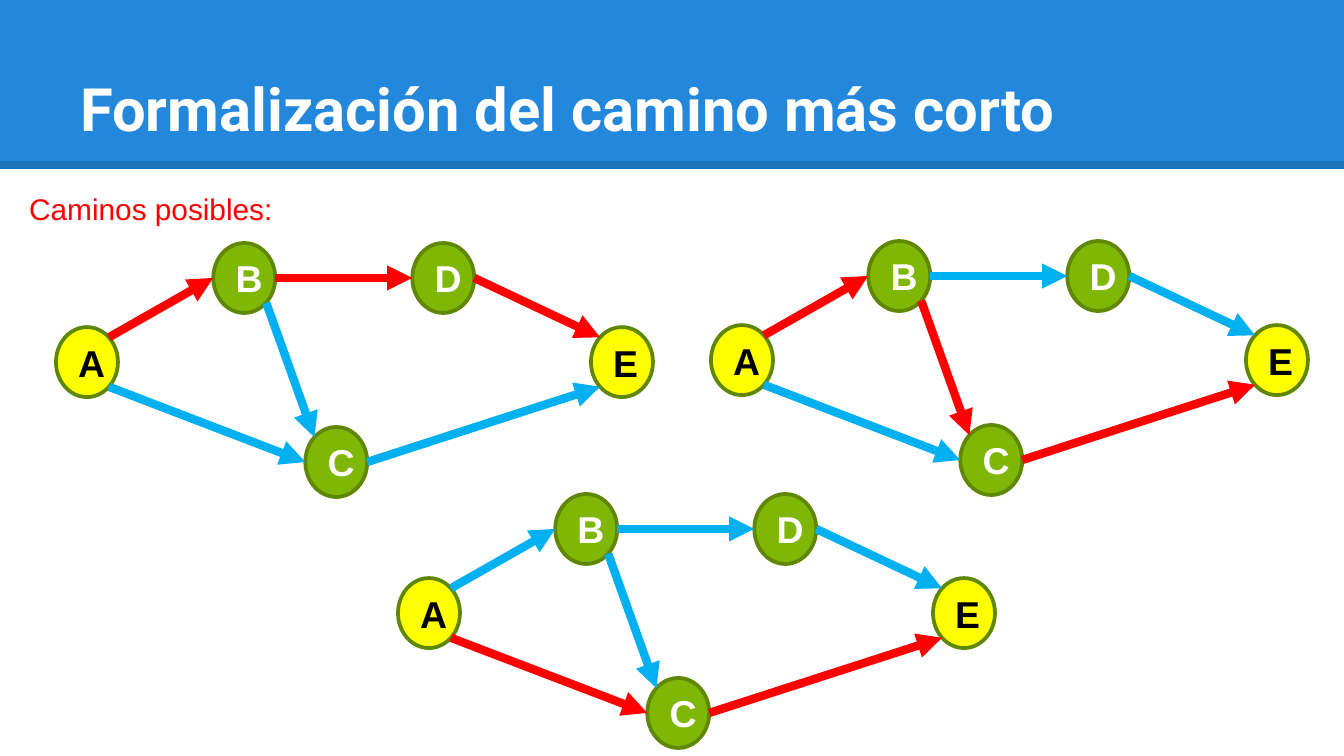
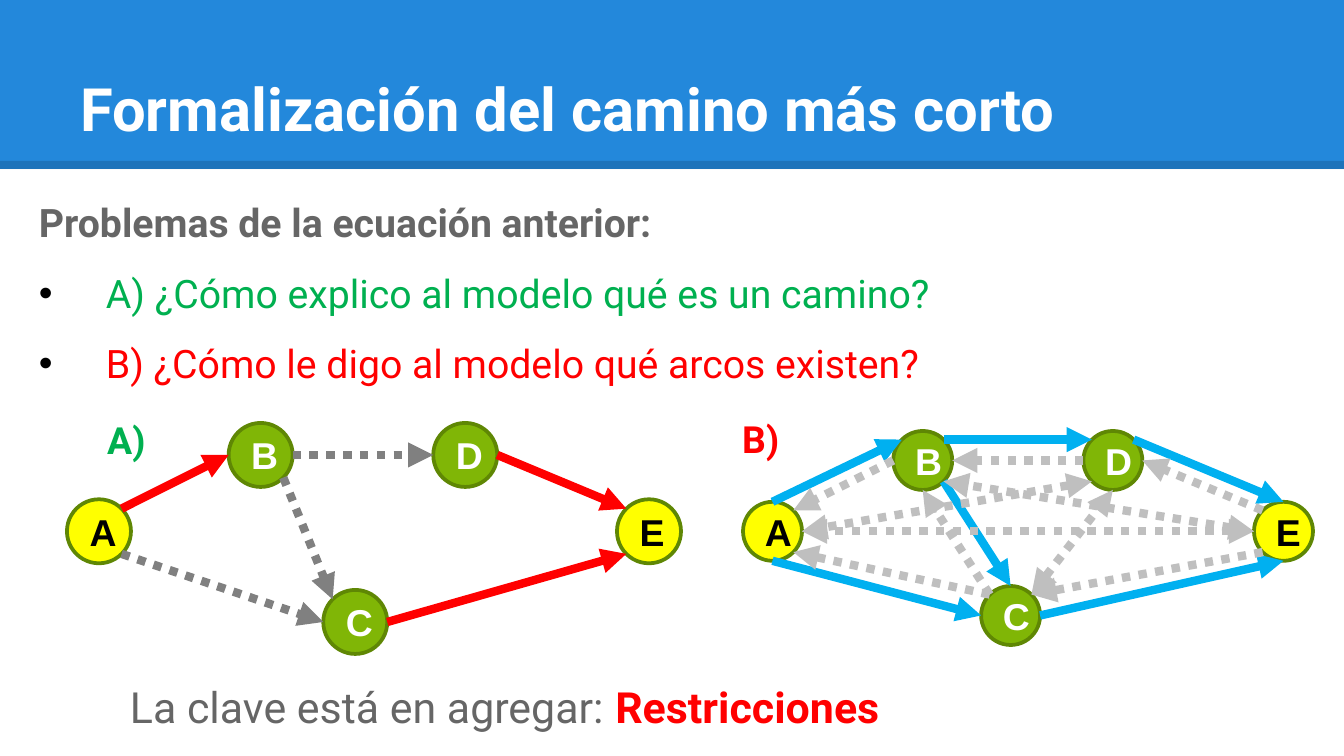
from dataclasses import dataclass
from math import cos, radians, sin

from lxml import etree
from pptx import Presentation
from pptx.dml.color import RGBColor
from pptx.enum.dml import MSO_LINE
from pptx.enum.shapes import MSO_CONNECTOR, MSO_SHAPE
from pptx.enum.text import MSO_ANCHOR, MSO_AUTO_SIZE, PP_ALIGN
from pptx.oxml.ns import qn
from pptx.util import Emu, Pt

DOTS = MSO_LINE.ROUND_DOT
STRAIGHT = MSO_CONNECTOR.STRAIGHT
RECT, OVAL = MSO_SHAPE.RECTANGLE, MSO_SHAPE.OVAL
TOP, MIDDLE, BOTTOM = MSO_ANCHOR.TOP, MSO_ANCHOR.MIDDLE, MSO_ANCHOR.BOTTOM
LEFT, CENTER = PP_ALIGN.LEFT, PP_ALIGN.CENTER
FIXED, GROW = MSO_AUTO_SIZE.NONE, MSO_AUTO_SIZE.SHAPE_TO_FIT_TEXT
SCALE = 914400 / 134.4
WIDE, HIGH = 1344, 756


@dataclass(frozen=True)
class Theme:
    """Colours, fonts and sizes of the deck."""
    band: str = "2388DB"
    white: str = "FFFFFF"
    black: str = "000000"
    gray: str = "666666"
    red: str = "FF0000"
    blue: str = "00B0F0"
    green: str = "00B050"
    end: str = "FFFF00"
    node: str = "80B606"
    rim: str = "5F8704"
    dark: str = "808080"
    pale: str = "BFBFBF"
    head: str = "Roboto"
    body: str = "Arial"
    title: int = 32
    key: int = 23
    list: int = 21
    label: int = 20
    note: int = 16
    stroke: float = 4.5
    edge: int = 2


T = Theme()

# Node places as shares of the graph box
NODES = {"A": (0, 0.457), "C": (0.466, 1), "D": (0.666, 0),
         "E": (1, 0.457), "B": (0.294, 0)}
# Rim points of a node, as angles clockwise from the right
RIM = {"e": 0, "se": 45, "s": 90, "sw": 135,
       "w": 180, "nw": 225, "n": 270, "ne": 315}
ARCS = {"AB": "A.ne B.w", "AC": "A.se C.w", "BD": "B.e D.w",
        "DE": "D.e E.nw", "CE": "C.e E.sw", "BC": "B.se C.nw"}
REAL = ("A.n B.nw", "C.e E.s", "B.se C.n", "A.s C.w", "B.ne D.nw", "D.ne E.n")
BOTH = ("D.sw A.e", "E.w A.e", "E.w B.se", "C.ne D.s")
BACK = ("B.w A.ne", "C.nw A.se", "E.sw C.ne", "E.nw D.e", "D.w B.e", "C.nw B.s")


def px(n):
    """Turn pixels into EMU."""
    return Emu(round(n * SCALE))


def rgb(code):
    """Turn a hex code into a colour."""
    return RGBColor.from_string(code)


def style(run, size, color, font, bold=False):
    """Format one run."""
    run.font.size, run.font.name, run.font.bold = Pt(size), font, bold
    run.font.color.rgb = rgb(color)


def pad(frame, anchor):
    """Give a text frame even margins, a fixed size and an anchor."""
    frame.word_wrap, frame.auto_size = True, FIXED
    frame.vertical_anchor = anchor
    frame.margin_left = frame.margin_right = px(13)
    frame.margin_top = frame.margin_bottom = px(13)


def text(shapes, box, words, size, color, font, bold=False, wrap=False):
    """Place a one-line label that grows with its text."""
    frame = shapes.add_textbox(*map(px, box)).text_frame
    frame.word_wrap, frame.auto_size = wrap, GROW
    frame.text = words
    style(frame.paragraphs[0].runs[0], size, color, font, bold)


def arrow(shapes, start, stop, color, dots=False, both=False, tip=True):
    """Draw a straight line, with arrowheads where asked."""
    line = shapes.add_connector(STRAIGHT, *map(px, (*start, *stop)))
    line.line.width = Pt(T.stroke)
    line.line.color.rgb = rgb(color)
    if dots:
        line.line.dash_style = DOTS
    props = line.element.spPr
    ln = props.find(qn("a:ln"))
    if both:
        etree.SubElement(ln, qn("a:headEnd"), type="triangle")
    if tip:
        etree.SubElement(ln, qn("a:tailEnd"), type="triangle")
    etree.SubElement(props, qn("a:effectLst"))
    return line


def node(shapes, box, name):
    """Draw a named graph node."""
    end = name in "AE"
    oval = shapes.add_shape(OVAL, *map(px, box))
    oval.shadow.inherit = False
    oval.fill.solid()
    oval.fill.fore_color.rgb = rgb(T.end if end else T.node)
    oval.line.color.rgb = rgb(T.rim)
    oval.line.width = Pt(T.edge)
    frame = oval.text_frame
    frame.vertical_anchor = MIDDLE
    frame.text = name
    para = frame.paragraphs[0]
    para.alignment = CENTER
    style(para.runs[0], T.label, T.black if end else T.white, T.body, True)


def graph(shapes, box, size):
    """Draw the five nodes in a box; return a function that joins them."""
    left, top, wide, high = box
    w, h = size
    spots = {name: (left + fx * (wide - w), top + fy * (high - h))
             for name, (fx, fy) in NODES.items()}
    for name, spot in spots.items():
        node(shapes, (*spot, w, h), name)

    def point(ref):
        """Find a rim point such as A.ne."""
        name, side = ref.split(".")
        x, y = spots[name]
        turn = radians(RIM[side])
        return x + w / 2 * (1 + cos(turn)), y + h / 2 * (1 + sin(turn))

    def join(arc, color, **look):
        """Draw the arrow of one arc."""
        start, stop = map(point, arc.split())
        arrow(shapes, start, stop, color, **look)

    return join


def path_graph(shapes, box, size, route, rest, dots=False):
    """Draw the graph with the arcs of one route in red."""
    join = graph(shapes, box, size)
    for name, arc in ARCS.items():
        hot = name in route
        join(arc, T.red if hot else rest, dots=dots and not hot)


def full_graph(shapes, box, size):
    """Draw the graph with real arcs in blue and missing ones in gray."""
    join = graph(shapes, box, size)
    for arc in REAL:
        join(arc, T.blue)
    for arc in BOTH + BACK:
        join(arc, T.pale, dots=True, both=arc in BOTH)


def band(layout, slide):
    """Put the blue band and its lower rule on the layout."""
    bar = slide.shapes.add_shape(RECT, 0, 0, px(WIDE), px(169))
    bar.shadow.inherit = False
    bar.fill.solid()
    bar.fill.fore_color.rgb = rgb(T.band)
    bar.line.fill.background()
    rule = arrow(slide.shapes, (0, 165), (WIDE, 165), T.black, tip=False)
    tint = next(rule.element.iter(qn("a:srgbClr")))
    etree.SubElement(tint, qn("a:alpha"), val="14000")
    for place, part in enumerate((bar, rule), 2):
        layout.shapes.element.insert(place, part.element)


def title(slide, words):
    """Move and format the title placeholder."""
    head = slide.shapes.title
    head.left, head.top, head.width, head.height = map(px, (67, 31, 1210, 126))
    frame = head.text_frame
    pad(frame, BOTTOM)
    frame.text = words
    para = frame.paragraphs[0]
    para.alignment = LEFT
    style(para.runs[0], T.title, T.white, T.head, True)


def bullet(para):
    """Give a paragraph a black dot and a hanging indent."""
    props = para._p.get_or_add_pPr()
    props.set("marL", str(px(67)))
    props.set("indent", str(-px(67)))
    tone = etree.SubElement(props, qn("a:buClr"))
    etree.SubElement(tone, qn("a:srgbClr"), val=T.black)
    etree.SubElement(props, qn("a:buFont"), typeface=T.body)
    etree.SubElement(props, qn("a:buChar"), char="•")


def issues(slide, box, lead, items):
    """Write a bold lead line and its coloured bullets."""
    frame = slide.shapes.add_textbox(*map(px, box)).text_frame
    pad(frame, MIDDLE)
    for i, (words, color) in enumerate([(lead, T.gray), *items]):
        para = frame.add_paragraph() if i else frame.paragraphs[0]
        para.text = words
        para.line_spacing = 1.5
        style(para.runs[0], T.list, color, T.head, i == 0)
        if i:
            bullet(para)


def key_line(slide, box, lead, word):
    """Write the closing line with its key word in red."""
    frame = slide.shapes.add_textbox(*map(px, box)).text_frame
    pad(frame, MIDDLE)
    para = frame.paragraphs[0]
    para.text = lead
    style(para.runs[0], T.key, T.gray, T.head)
    run = para.add_run()
    run.text = word
    style(run, T.key, T.red, T.head, True)


def paths_slide(slide):
    """Show the three possible paths."""
    for spot, route in (((711, 241), ("AB", "BC", "CE")),
                        ((56, 243), ("AB", "BD", "DE")),
                        ((398, 494), ("AC", "CE"))):
        path_graph(slide.shapes, (*spot, 597, 254), (62, 70), route, T.blue)
    text(slide.shapes, (16, 184, 273, 50), "Caminos posibles:",
         T.note, T.red, T.body)


def issues_slide(slide):
    """Show the two problems, each with its graph."""
    issues(slide, (26, 171, 1251, 220), "Problemas de la ecuación anterior:",
           [("A) ¿Cómo explico al modelo qué es un camino?", T.green),
            ("B) ¿Cómo le digo al modelo qué arcos existen?", T.red)])
    group = slide.shapes.add_group_shape().shapes
    path_graph(group, (67, 423, 614, 231), (64, 64),
               ("AB", "DE", "CE"), T.dark, dots=True)
    text(group, (94, 411, 74, 59), "A) ", T.label, T.green, T.head, True)
    group = slide.shapes.add_group_shape().shapes
    full_graph(group, (743, 431, 570, 214), (59, 59))
    text(group, (729, 410, 79, 59), "B) ", T.label, T.red, T.head, True, True)
    key_line(slide, (117, 673, 788, 67),
             "La clave está en agregar: ", "Restricciones")


def main():
    """Build and save the deck."""
    deck = Presentation()
    deck.slide_width, deck.slide_height = px(WIDE), px(HIGH)
    layout = deck.slide_layouts[5]
    for i, fill in enumerate((paths_slide, issues_slide)):
        slide = deck.slides.add_slide(layout)
        if i == 0:
            band(layout, slide)
        title(slide, "Formalización del camino más corto")
        fill(slide)
    deck.save("out.pptx")


main()
